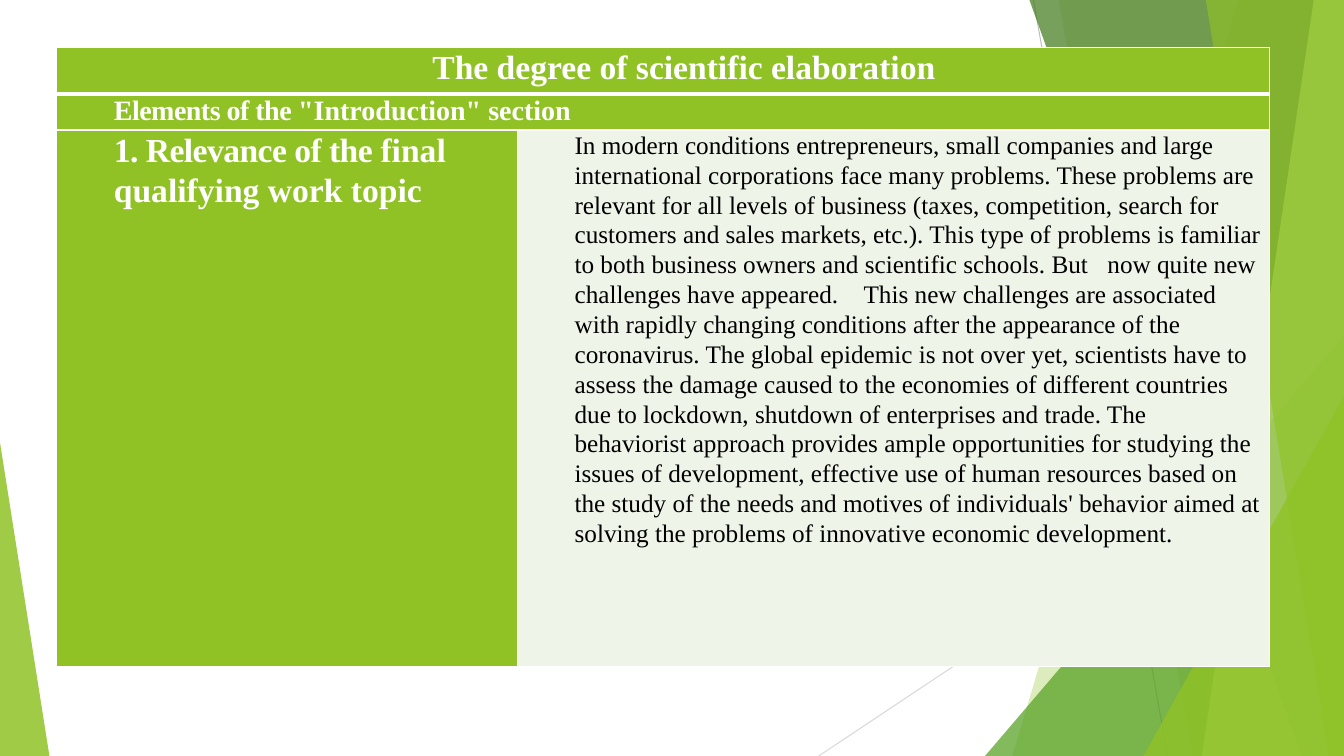
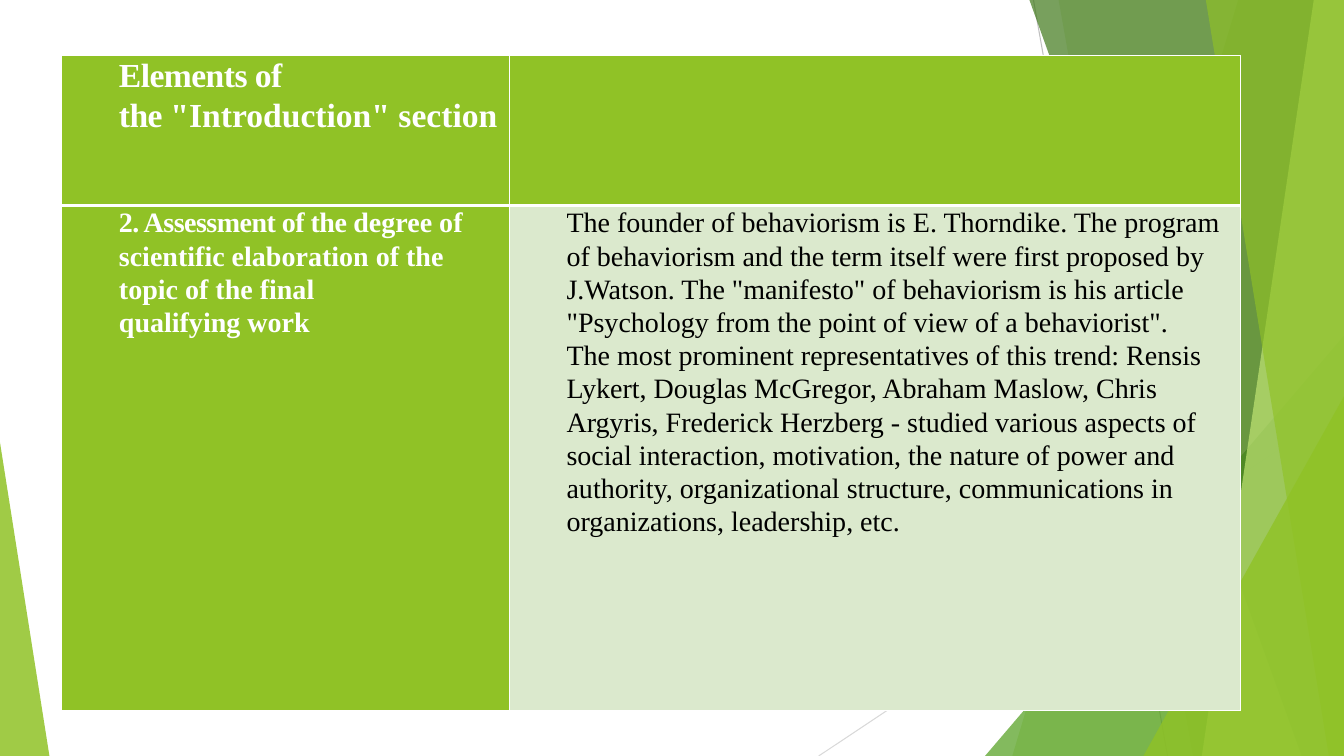
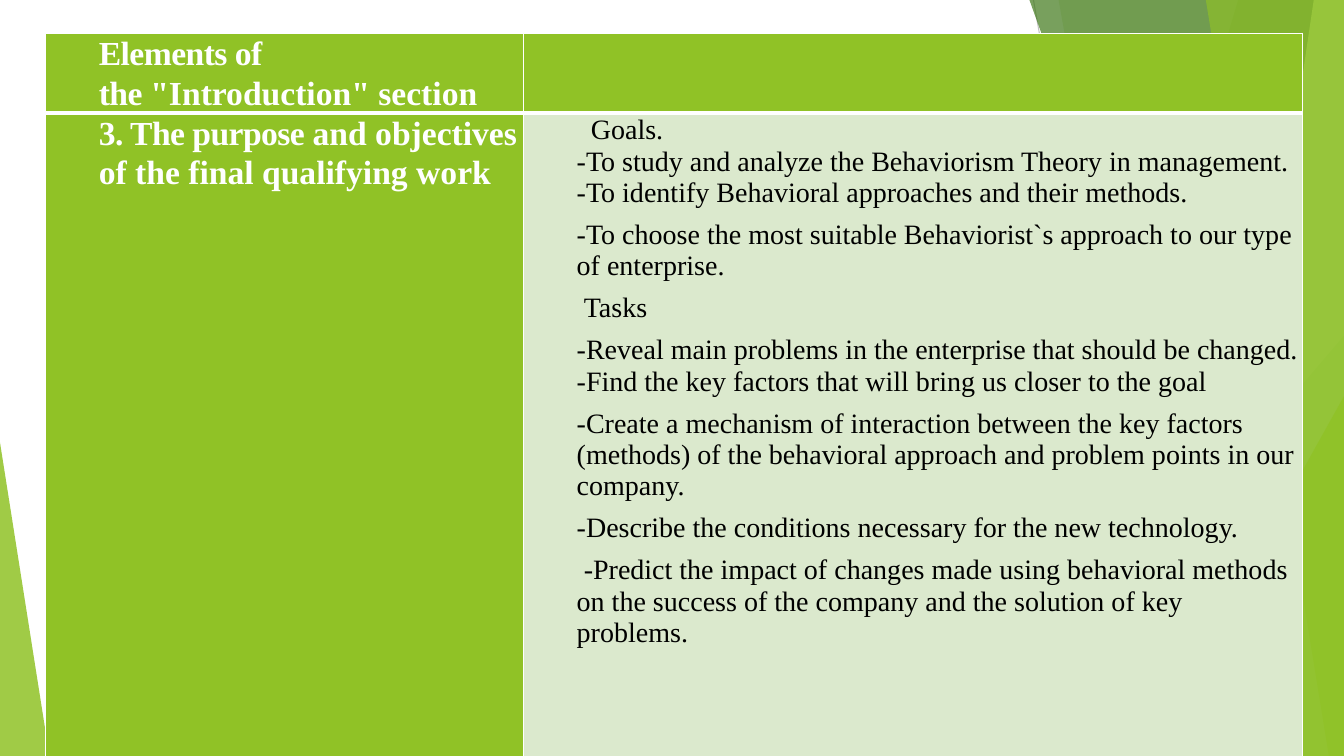
"""Build three slides of tables on a faceted green backdrop."""
from dataclasses import dataclass

from lxml.etree import SubElement
from pptx import Presentation
from pptx.dml.color import RGBColor
from pptx.enum.shapes import MSO_CONNECTOR, MSO_SHAPE
from pptx.enum.text import PP_ALIGN
from pptx.oxml.ns import qn
from pptx.util import Inches, Pt


@dataclass(frozen=True)
class Theme:
    """Hold the colours, type sizes and measures of the deck."""
    width: float = 13.33
    height: float = 7.5
    font: str = "Times New Roman"
    white: str = "FFFFFF"
    black: str = "000000"
    green: str = "90C226"
    leaf: str = "54A021"
    forest: str = "3F7819"
    lime: str = "C0E474"
    mist: str = "EEF4E8"
    pale: str = "DBE9CD"
    grey: str = "BFBFBF"
    silver: str = "D9D9D9"
    large: int = 24
    medium: int = 20
    small: int = 18
    tight: float = -0.4
    indent: float = 0.5
    leading: float = 1.07
    rule: float = 1
    heavy_rule: float = 3
    hairline: float = 0.75


THEME = Theme()


def apply(target, values):
    """Set each named attribute of the target."""
    for name, value in values.items():
        setattr(target, name, value)


def add_line(page, start, end, color):
    """Draw a thin straight line."""
    line = page.shapes.add_connector(
        MSO_CONNECTOR.STRAIGHT, *(Inches(value) for value in (*start, *end)))
    line.line.color.rgb = RGBColor.from_string(color)
    line.line.width = Pt(THEME.hairline)
    SubElement(line._element.spPr, qn("a:effectLst"))


def paint(shape, color, opacity):
    """Fill a shape with a see-through colour and no outline."""
    shape.shadow.inherit = False
    shape.fill.solid()
    shape.fill.fore_color.rgb = RGBColor.from_string(color)
    tint = shape._element.spPr.find(".//" + qn("a:srgbClr"))
    SubElement(tint, qn("a:alpha")).set("val", str(opacity * 1000))
    shape.line.fill.background()


def add_band(page, top_left, bottom_left, color, opacity):
    """Draw a full-height facet that ends at the right edge."""
    corners = [
        (Inches(x), Inches(y)) for x, y in (
            (top_left, 0), (THEME.width, 0),
            (THEME.width, THEME.height), (bottom_left, THEME.height))]
    builder = page.shapes.build_freeform(*corners[0])
    builder.add_line_segments(corners[1:], close=True)
    paint(builder.convert_to_shape(), color, opacity)


def add_corner(page, left, top, width, apex, color, opacity):
    """Draw a right triangle that stands on the bottom edge."""
    shape = page.shapes.add_shape(
        MSO_SHAPE.ISOSCELES_TRIANGLE, Inches(left), Inches(top),
        Inches(width), Inches(THEME.height - top))
    shape.adjustments[0] = apex
    paint(shape, color, opacity)


def add_backdrop(page):
    """Draw the facets that every slide shares."""
    add_line(page, (10.25, 0), (11.58, THEME.height), THEME.grey)
    add_line(page, (THEME.width, 4.03), (8.12, THEME.height), THEME.silver)
    add_band(page, 12.28, 10.04, THEME.green, 30)
    add_band(page, 10.5, 11.83, THEME.green, 20)
    add_corner(page, 9.77, 3.33, 3.56, 1, THEME.leaf, 72)
    add_band(page, 10.21, 12.91, THEME.forest, 70)
    add_band(page, 13.03, 11.92, THEME.lime, 70)
    add_band(page, 11.96, 13.18, THEME.green, 65)
    add_corner(page, 11.34, 3.93, 1.99, 1, THEME.green, 80)
    add_corner(page, 0, 4.39, 0.49, 0, THEME.green, 85)


def add_border(cell, side, width):
    """Draw one white cell border."""
    line = SubElement(cell._tc.get_or_add_tcPr(), qn(f"a:ln{side}"))
    line.set("w", str(Pt(width)))
    fill = SubElement(line, qn("a:solidFill"))
    SubElement(fill, qn("a:srgbClr")).set("val", THEME.white)


def add_grid(page, left, top, columns, rows, inset, body_fill):
    """Add a green table whose last cell has a light fill."""
    table = page.shapes.add_table(
        len(rows), len(columns), Inches(left), Inches(top),
        Inches(sum(columns)), Inches(sum(rows))).table
    apply(table, {"first_row": False, "horz_banding": False})
    for column, width in zip(table.columns, columns):
        column.width = Inches(width)
    for number, (row, height) in enumerate(zip(table.rows, rows)):
        row.height = Inches(height)
        for cell in row.cells:
            apply(cell, {"margin_left": Inches(inset), "margin_right": Inches(inset),
                         "margin_top": 0, "margin_bottom": 0})
            for side in "LRTB":
                heavy = (number, side) in ((0, "B"), (1, "T"))
                add_border(cell, side, THEME.heavy_rule if heavy else THEME.rule)
            cell.fill.solid()
            cell.fill.fore_color.rgb = RGBColor.from_string(THEME.green)
    last = table.cell(len(rows) - 1, len(columns) - 1)
    last.fill.fore_color.rgb = RGBColor.from_string(body_fill)
    return table


def add_span(para, text, spacing, size, color, bold):
    """Write one run of text with its letter spacing."""
    span = para.add_run()
    span.text = text
    apply(span.font, {"name": THEME.font, "size": Pt(size), "bold": bold})
    span.font.color.rgb = RGBColor.from_string(color)
    if spacing:
        span._r.get_or_add_rPr().set("spc", str(round(spacing * 100)))


def add_para(para, spans, size, color, bold=False, indent=THEME.indent, first=0, **layout):
    """Write (text, letter spacing) spans, with a line break at each newline."""
    apply(para, layout)
    settings = para._p.get_or_add_pPr()
    settings.set("marL", str(Inches(indent)))
    settings.set("indent", str(Inches(first)))
    for text, spacing in spans:
        for number, line in enumerate(text.split("\n")):
            if number:
                para.add_line_break()
            add_span(para, line, spacing, size, color, bold)


def add_label(cell, size, tight, rest):
    """Write a bold white label with a tightened beginning."""
    add_para(cell.text_frame.paragraphs[0], [(tight, THEME.tight), (rest, 0)],
             size, THEME.white, bold=True, line_spacing=THEME.leading)


def add_body(cell, size, paragraphs):
    """Write black paragraphs given as (spans, layout)."""
    frame = cell.text_frame
    for number, (spans, layout) in enumerate(paragraphs):
        para = frame.add_paragraph() if number else frame.paragraphs[0]
        add_para(para, spans, size, THEME.black, **layout)


def add_page(deck):
    """Add a blank slide with the shared backdrop."""
    page = deck.slides.add_slide(deck.slide_layouts[6])
    add_backdrop(page)
    return page


def add_section_grid(page, label, label_size, paragraphs, **grid):
    """Add a two-row table for one element of the introduction."""
    table = add_grid(page, body_fill=THEME.pale, **grid)
    add_label(table.cell(0, 0), THEME.large, "Elements of\nthe ", "\"Introduction\" section")
    add_label(table.cell(1, 0), label_size, *label)
    add_body(table.cell(1, 1), THEME.medium, paragraphs)


def add_relevance(deck):
    """Build the slide on the relevance of the topic."""
    table = add_grid(add_page(deck), 0.56, 0.47, (4.57, 7.46), (0.46, 0.36, 5.32),
                     0.07, THEME.mist)
    for row in range(2):
        table.cell(row, 0).merge(table.cell(row, 1))
    add_para(table.cell(0, 0).text_frame.paragraphs[0],
             [("The degree of scientific elaboration", 0)], THEME.large, THEME.white,
             bold=True, indent=0.42, alignment=PP_ALIGN.CENTER,
             line_spacing=THEME.leading)
    add_label(table.cell(1, 0), THEME.medium, "Elements of the ", "\"Introduction\" section")
    add_label(table.cell(2, 0), THEME.large, "1. Relevance of the ",
              "final qualifying work topic")
    spans = [
        ("In modern conditions entrepreneurs, small companies and large international "
         "corporations face many problems. These problems are relevant for all levels of "
         "business (taxes, competition, search for customers and sales markets, etc.). "
         "This type of problems is familiar to both business owners and scientific "
         "schools. But", 0),
        (" ", 9),
        ("now quite new challenges have appeared.", 0),
        (" ", 13.5),
        ("This new challenges are associated with rapidly changing conditions after the "
         "appearance of the coronavirus. The global epidemic is not over yet, scientists "
         "have to assess the damage caused to the economies of different countries due to "
         "lockdown, shutdown of enterprises and trade. The behaviorist approach provides "
         "ample opportunities for studying the issues of development, effective use of "
         "human resources based on the study of the needs and motives of individuals' "
         "behavior aimed at solving the problems of innovative economic development.", 0)]
    add_body(table.cell(2, 1), THEME.small, [(spans, {"line_spacing": THEME.leading})])


def add_assessment(deck):
    """Build the slide on the degree of scientific elaboration."""
    texts = (
        "The founder of behaviorism is E. Thorndike. The program of behaviorism and the "
        "term itself were first proposed by J.Watson. The \"manifesto\" of behaviorism is "
        "his article \"Psychology from the point of view of a behaviorist\".",
        "The most prominent representatives of this trend: Rensis Lykert, Douglas "
        "McGregor, Abraham Maslow, Chris Argyris, Frederick Herzberg - studied various "
        "aspects of social interaction, motivation, the nature of power and authority, "
        "organizational structure, communications in organizations, leadership, etc.")
    add_section_grid(
        add_page(deck),
        ("2. Assessment of the ",
         "degree of scientific elaboration of the topic of the final\nqualifying work"),
        THEME.medium,
        [([(text, 0)], {"line_spacing": THEME.leading}) for text in texts],
        left=0.61, top=0.55, columns=(4.44, 7.25), rows=(1.49, 5.01), inset=0.07)


def add_purpose(deck):
    """Build the slide on the purpose and objectives."""
    items = (
        ("Goals.", 0.14, 0, THEME.leading),
        ("-To study and analyze the Behaviorism Theory in management.", 0, 0, 1),
        ("-To identify Behavioral approaches and their methods.", 0, 8, 1),
        ("-To choose the most suitable Behaviorist`s approach to our type of "
         "enterprise.", 0, 8, 1),
        ("Tasks", 0.07, 8, 1),
        ("-Reveal main problems in the enterprise that should be changed.\n-Find the key "
         "factors that will bring us closer to the goal", 0, 8, 1),
        ("-Create a mechanism of interaction between the key factors (methods) of the "
         "behavioral approach and problem points in our company.", 0, 8, 1),
        ("-Describe the conditions necessary for the new technology.", 0, 8, 1),
        ("-Predict the impact of changes made using behavioral methods on the success of "
         "the company and the solution of key problems.", 0.07, 0, 1))
    add_section_grid(
        add_page(deck),
        ("3. The purpose ", "and objectives of the final qualifying work"),
        THEME.large,
        [([(text, 0)],
          {"first": first, "space_after": Pt(after), "line_spacing": leading})
         for text, first, after, leading in items],
        left=0.45, top=0.33, columns=(4.74, 7.73), rows=(0.78, 6.96), inset=0.03)


def main():
    """Build and save the deck."""
    deck = Presentation()
    apply(deck, {"slide_width": Inches(THEME.width), "slide_height": Inches(THEME.height)})
    for build in (add_relevance, add_assessment, add_purpose):
        build(deck)
    deck.save("out.pptx")


if __name__ == "__main__":
    main()
